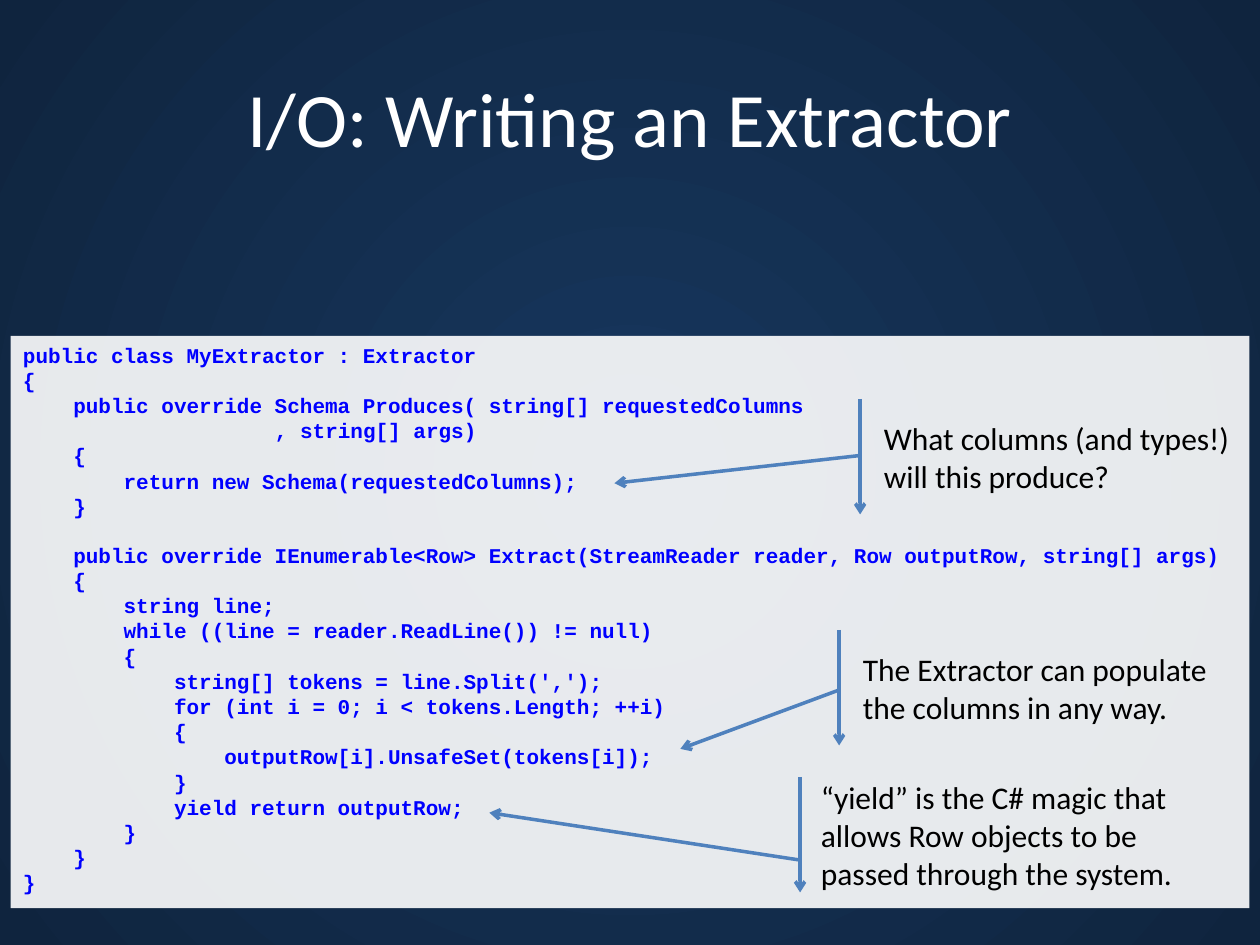
from typing import NamedTuple

import pptx
import pptx.dml.color
import pptx.enum.shapes
import pptx.enum.text
import pptx.oxml.ns
import pptx.util
from lxml import etree

RGB = pptx.dml.color.RGBColor
WHITE = RGB(0xFF, 0xFF, 0xFF)
BLACK = RGB(0, 0, 0)
CODE_BLUE = RGB(0, 0, 0xFF)
LINE_BLUE = RGB(0x4F, 0x81, 0xBD)
INNER = RGB(0x17, 0x37, 0x5E)
OUTER = RGB(0x0F, 0x24, 0x3E)

# The grid has 120 columns and 90 rows, so one cell is 1/12 inch.
WIDE, HIGH = pptx.util.Inches(10), pptx.util.Inches(7.5)
COLS, ROWS = 120, 90
CODE_LEAD = 13.6  # height of one code line in points

CODE = """\
public class MyExtractor : Extractor
{
    public override Schema Produces( string[] requestedColumns
\t\t\t\t, string[] args)
    {
        return new Schema(requestedColumns);
    }

    public override IEnumerable<Row> Extract(StreamReader reader, Row outputRow, string[] args)
    {
        string line;
        while ((line = reader.ReadLine()) != null)
        {
            string[] tokens = line.Split(',');
            for (int i = 0; i < tokens.Length; ++i)
            {
                outputRow[i].UnsafeSet(tokens[i]);
            }
            yield return outputRow;
        }
    }
}"""


class Box(NamedTuple):
    col: float
    row: float
    cols: float
    rows: float

    def place(self) -> tuple[int, ...]:
        return (int(WIDE * self.col / COLS), int(HIGH * self.row / ROWS),
                int(WIDE * self.cols / COLS), int(HIGH * self.rows / ROWS))


class Note(NamedTuple):
    box: Box
    text: str
    points: tuple[float, float, float, float]  # leader y, x, then tip y, x


NOTES = [
    Note(Box(83, 38, 36, 11), "What columns (and types!)\vwill this produce?",
         (0.49, -0.03, 0.73, -0.68)),
    Note(Box(81, 60, 36, 11), "The Extractor can populate the columns in any way.",
         (0.52, -0.03, 1.03, -0.45)),
    Note(Box(77, 74, 40, 11),
         "“yield” is the C# magic that allows Row objects to be passed through the system.",
         (0.72, -0.02, 0.31, -0.76)),
]


def add_tag(parent, name: str, **attrs: str):
    return etree.SubElement(parent, pptx.oxml.ns.qn(name), attrs)


def style(para, face: str, size: int, color: RGB, bold: bool = False) -> None:
    font = para.font
    font.name, font.size, font.bold = face, pptx.util.Pt(size), bold
    font.color.rgb = color


def paint_back(slide) -> None:
    """Fill the background with a gradient that spreads from the centre."""
    fill = slide.background.fill
    fill.gradient()
    for stop, place, color in zip(fill.gradient_stops, (0, 1), (INNER, OUTER)):
        stop.position = place
        stop.color.rgb = color
    grad = slide.background._cSld.find(".//" + pptx.oxml.ns.qn("a:gradFill"))
    grad.remove(grad.find(pptx.oxml.ns.qn("a:lin")))
    ring = add_tag(grad, "a:path", path="circle")
    add_tag(ring, "a:fillToRect", l="50000", t="50000", r="50000", b="50000")


def add_title(slide, box: Box, text: str) -> None:
    frame = slide.shapes.add_textbox(*box.place()).text_frame
    frame.word_wrap = True
    frame.vertical_anchor = pptx.enum.text.MSO_ANCHOR.MIDDLE
    para = frame.paragraphs[0]
    para.text = text
    para.alignment = pptx.enum.text.PP_ALIGN.CENTER
    style(para, "Calibri", 44, WHITE)


def add_code(slide, box: Box, code: str) -> None:
    """Draw a pale panel of code; a blank line becomes space before the next."""
    panel = slide.shapes.add_shape(
        pptx.enum.shapes.MSO_SHAPE.RECTANGLE, *box.place())
    panel.shadow.inherit = False
    panel.fill.solid()
    panel.fill.fore_color.rgb = WHITE
    tint = panel._element.spPr.find(".//" + pptx.oxml.ns.qn("a:srgbClr"))
    add_tag(tint, "a:alpha", val="90000")
    panel.line.fill.background()
    frame = panel.text_frame
    frame.word_wrap = True
    frame.vertical_anchor = pptx.enum.text.MSO_ANCHOR.TOP
    para, gap = frame.paragraphs[0], False
    for index, line in enumerate(code.splitlines()):
        if not line:
            gap = True
            continue
        if index:
            para = frame.add_paragraph()
        para.text = line
        para.alignment = pptx.enum.text.PP_ALIGN.LEFT
        if gap:
            para.space_before = pptx.util.Pt(CODE_LEAD)
            gap = False
        style(para, "Courier New", 12, CODE_BLUE, bold=True)


def add_note(slide, note: Note) -> None:
    shape = slide.shapes.add_shape(
        pptx.enum.shapes.MSO_SHAPE.LINE_CALLOUT_1_ACCENT_BAR, *note.box.place())
    shape.shadow.inherit = False
    for index, value in enumerate(note.points):
        shape.adjustments[index] = value
    shape.fill.background()
    shape.line.color.rgb = LINE_BLUE
    shape.line.width = pptx.util.Pt(2)
    add_tag(shape.line._get_or_add_ln(), "a:tailEnd", type="arrow")
    frame = shape.text_frame
    frame.word_wrap = True
    frame.vertical_anchor = pptx.enum.text.MSO_ANCHOR.MIDDLE
    para = frame.paragraphs[0]
    para.text = note.text
    para.alignment = pptx.enum.text.PP_ALIGN.LEFT
    style(para, "Calibri", 18, BLACK)


def main() -> None:
    deck = pptx.Presentation()
    deck.slide_width, deck.slide_height = WIDE, HIGH
    slide = deck.slides.add_slide(deck.slide_layouts[6])
    paint_back(slide)
    add_title(slide, Box(6, 3.6, 108, 15), "I/O: Writing an Extractor")
    add_code(slide, Box(1, 32, 118, 54.5), CODE)
    for note in NOTES:
        add_note(slide, note)
    deck.save("out.pptx")


if __name__ == "__main__":
    main()
